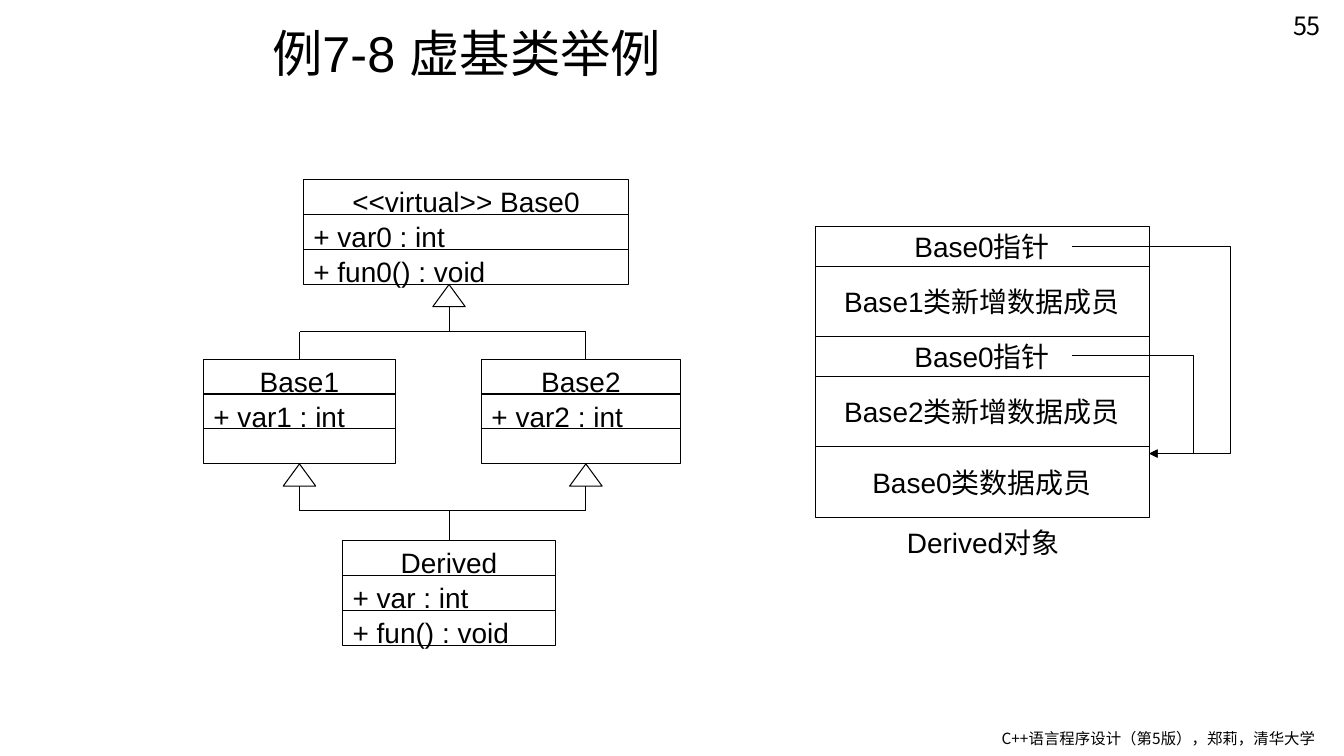
from dataclasses import dataclass

from lxml.etree import SubElement
from pptx import Presentation
from pptx.dml.color import RGBColor
from pptx.enum.shapes import MSO_CONNECTOR as Link, MSO_SHAPE as Preset
from pptx.enum.text import MSO_ANCHOR as Anchor, PP_ALIGN as Align
from pptx.oxml.ns import qn
from pptx.util import Cm, Pt


@dataclass(frozen=True)
class Theme:
    ink = RGBColor(0, 0, 0)
    paper = RGBColor(255, 255, 255)
    latin = "Arial"
    cjk = "Noto Sans CJK SC"
    title = Pt(36)
    body = Pt(20)
    page = Pt(18)
    footer = Pt(11)
    stroke = Pt(0.75)


theme = Theme()
deck = Presentation()
deck.slide_width, deck.slide_height = Cm(33.88), Cm(19.05)
slide = deck.slides.add_slide(deck.slide_layouts[6])
shapes = slide.shapes


def put(preset, left, top, width, height, text="", size=theme.body, font=theme.latin,
        align=Align.CENTER, anchor=Anchor.MIDDLE, inset=(0, 0)):
    """Add an outlined preset shape, or a plain text box when preset is None."""
    box = tuple(Cm(v) for v in (left, top, width, height))
    if preset is None:
        shape = shapes.add_textbox(*box)
    else:
        shape = shapes.add_shape(preset, *box)
        shape.shadow.inherit = False
        shape.fill.background()
        shape.line.color.rgb = theme.ink
        shape.line.width = theme.stroke
    if text:
        frame = shape.text_frame
        frame.word_wrap = True
        frame.vertical_anchor = anchor
        frame.margin_left = frame.margin_right = Cm(inset[0])
        frame.margin_top = frame.margin_bottom = Cm(inset[1])
        paragraph = frame.paragraphs[0]
        paragraph.text = text
        paragraph.alignment = align
        paragraph.font.name = font
        paragraph.font.size = size
        paragraph.font.color.rgb = theme.ink
    return shape


def connect(x1, y1, x2, y2, kind=Link.STRAIGHT):
    line = shapes.add_connector(kind, Cm(x1), Cm(y1), Cm(x2), Cm(y2))
    line.line.color.rgb = theme.ink
    line.line.width = theme.stroke
    SubElement(line._element.spPr, qn("a:effectLst"))
    return line


# Title, footer and page number
put(None, 6.53, 0.13, 25.65, 2.39, "例7-8 虚基类举例", theme.title,
    align=Align.LEFT, inset=(0.33, 0.18))
footer = put(None, 24.92, 18.19, 8.92, 0.81, "C++语言程序设计（第5版），郑莉，清华大学",
             theme.footer, theme.cjk, Align.LEFT, Anchor.TOP, (0.33, 0.18))
footer.text_frame.word_wrap = False
put(None, 25.93, 0.13, 7.62, 1.02, "55", theme.page, theme.cjk, Align.RIGHT, inset=(0.25, 0.13))

# Class boxes: name, data members, functions
row = 0.88
classes = {
    "Base1": (5.13, 9.05, 4.84, ("Base1", "+ var1 : int", "")),
    "Base2": (12.14, 9.05, 5.01, ("Base2", "+ var2 : int", "")),
    "Derived": (8.64, 13.62, 5.36, ("Derived", "+ var : int", "+ fun() : void")),
    "Base0": (7.65, 4.53, 8.2, ("<<virtual>> Base0", "+ var0 : int", "+ fun0() : void")),
}
heads = {}
for name, (left, top, width, members) in classes.items():
    cells = [put(Preset.RECTANGLE, left, top + i * row, width, row, member,
                 align=Align.LEFT if i else Align.CENTER, anchor=Anchor.TOP, inset=(0.25, 0.13))
             for i, member in enumerate(members)]
    heads[name] = cells[0]

# Inheritance lines with hollow arrowheads
base1_x, trunk_x, base2_x = 7.55, 11.32, 14.77
upper_bar, lower_bar = 8.36, 12.87
tip_width, tip_height = 0.82, 0.56
for x, parent, bar in ((trunk_x, "Base0", upper_bar),
                       (base1_x, "Base1", lower_bar),
                       (base2_x, "Base2", lower_bar)):
    tip_top = classes[parent][1] + 3 * row
    tip = put(Preset.ISOSCELES_TRIANGLE, x - tip_width / 2, tip_top, tip_width, tip_height)
    tip.fill.solid()
    tip.fill.fore_color.rgb = theme.paper
    connect(x, tip_top + tip_height, x, bar)
for bar in (upper_bar, lower_bar):
    connect(base1_x, bar, base2_x, bar)
connect(base2_x, upper_bar, base2_x, classes["Base2"][1])
for x, bar, child in ((base1_x, upper_bar, "Base1"), (trunk_x, lower_bar, "Derived")):
    connect(x, bar, x, classes[child][1]).end_connect(heads[child], 0)

# Memory layout of a Derived object
memory_left, memory_width = 20.55, 8.42
pointer_height, data_height = 1.01, 1.77
top = 5.7
for field, height in (("Base0指针", pointer_height), ("Base1类新增数据成员", data_height),
                      ("Base0指针", pointer_height), ("Base2类新增数据成员", data_height),
                      ("Base0类数据成员", data_height)):
    put(Preset.RECTANGLE, memory_left, top, memory_width, height, field)
    top += height
put(None, 22.17, 13.21, 5.23, 0.91, "Derived对象")

# Both pointers lead to the shared Base0 data
start_x, end_x, target_y = 27.03, memory_left + memory_width, 11.43
for y, turn_x in ((6.22, 31.01), (8.97, 30.1)):
    pointer = connect(start_x, y, end_x, target_y, Link.ELBOW)
    turn = round((turn_x - start_x) / (end_x - start_x) * 100000)
    adjustments = pointer._element.spPr.find(qn("a:prstGeom")).find(qn("a:avLst"))
    SubElement(adjustments, qn("a:gd"), name="adj1", fmla=f"val {turn}")
    SubElement(pointer.line._get_or_add_ln(), qn("a:tailEnd"), type="triangle")

deck.save("out.pptx")
